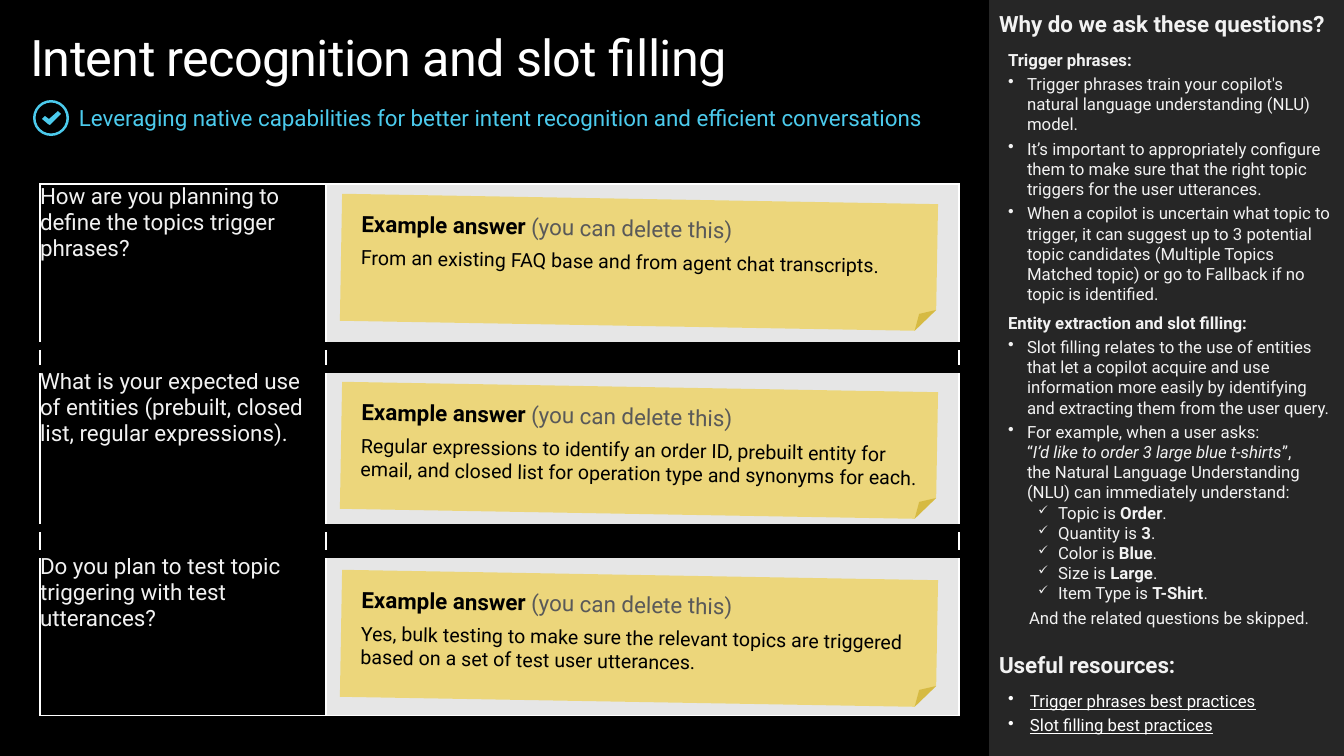
from lxml import etree
from pptx import Presentation
from pptx.dml.color import RGBColor
from pptx.enum.shapes import MSO_SHAPE as Preset
from pptx.enum.text import MSO_ANCHOR as Anchor, PP_ALIGN as Align
from pptx.oxml.ns import qn
from pptx.util import Pt

PX = 9071
COLORS = {
    "black": "000000", "white": "FFFFFF", "panel": "262626", "cyan": "4CCBED",
    "light": "F2F2F2", "answer": "E6E6E6", "note": "F2C811", "hint": "595959",
}


def write(frame, text, size=12, color="light", bold=False, italic=False, underline=False,
          before=0, after=0, left=0, hang=0, bullet=None, bullet_size=100,
          spacing=0, join=False):
    line = frame.paragraphs[-1]
    if not join:
        if line.runs:
            line = frame.add_paragraph()
        line.alignment = Align.LEFT
        line.space_before, line.space_after = Pt(before), Pt(after)
        layout = line._p.get_or_add_pPr()
        layout.set("marL", str(left * PX))
        layout.set("indent", str(-hang * PX))
        if bullet:
            etree.SubElement(layout, qn("a:buSzPct")).set("val", str(bullet_size * 1000))
            etree.SubElement(layout, qn("a:buChar")).set("char", bullet)
    for number, part in enumerate(text.split("\n")):
        if number:
            line.add_line_break()
        if part:
            run = line.add_run()
            run.text = part
            font = run.font
            font.name, font.size = "Roboto", Pt(size)
            font.bold, font.italic, font.underline = bold, italic, underline
            font.color.rgb = RGBColor.from_string(COLORS[color])
            if spacing:
                run._r.get_or_add_rPr().set("spc", str(spacing))


def paint(shape, color):
    shape.shadow.inherit = False
    shape.fill.solid()
    shape.fill.fore_color.rgb = RGBColor.from_string(COLORS[color])
    shape.line.fill.background()


deck = Presentation()
deck.slide_width, deck.slide_height = 1344 * PX, 756 * PX
slide = deck.slides.add_slide(deck.slide_layouts[6])
slide.background.fill.solid()
slide.background.fill.fore_color.rgb = RGBColor.from_string(COLORS["black"])
shapes = slide.shapes

panel = shapes.add_shape(Preset.RECTANGLE, 989 * PX, 0, 355 * PX, 756 * PX)
paint(panel, "panel")

ring = shapes.add_shape(Preset.DONUT, 33 * PX, 100 * PX, 36 * PX, 36 * PX)
ring.adjustments[0] = 0.07
paint(ring, "cyan")
tick_outline = shapes.build_freeform(58, 111, scale=PX)
tick_outline.add_line_segments(
    [(49, 119), (45, 116), (42, 119), (48, 124), (50, 125), (52, 123), (61, 114)])
paint(tick_outline.convert_to_shape(), "cyan")

frames = []
for x, y, width, height, inset, anchor in [
    (30, 26, 928, 61, 0, Anchor.TOP),
    (79, 104, 880, 27, 0, Anchor.MIDDLE),
    (989, 0, 355, 733, 10, Anchor.TOP),
]:
    frame = shapes.add_textbox(x * PX, y * PX, width * PX, height * PX).text_frame
    frame.word_wrap = True
    frame.vertical_anchor = anchor
    frame.margin_left = frame.margin_right = inset * PX
    frame.margin_top = frame.margin_bottom = inset * PX
    frames.append(frame)
title, subtitle, guide = frames

write(title, "Intent recognition and slot filling", size=36, color="white", spacing=-50)
write(subtitle, "Leveraging native capabilities for better intent recognition "
      "and efficient conversations", size=16, color="cyan")

point = dict(before=3, left=28, hang=19, bullet="•")
write(guide, "Why do we ask these questions?", size=16, bold=True, after=6)
write(guide, "Trigger phrases:", bold=True, before=3, left=9)
for advice in [
    "Trigger phrases train your copilot's natural language understanding (NLU) model.",
    "It’s important to appropriately configure them to make sure that the right topic "
    "triggers for the user utterances.",
    "When a copilot is uncertain what topic to trigger, it can suggest up to 3 potential "
    "topic candidates (Multiple Topics Matched topic) or go to Fallback if no topic is "
    "identified.",
]:
    write(guide, advice, **point)
write(guide, "Entity extraction and slot filling:", bold=True, before=6, left=9)
write(guide, "Slot filling relates to the use of entities that let a copilot acquire and use "
      "information more easily by identifying and extracting them from the user query.", **point)
write(guide, "For example, when a user asks:\n“", **point)
write(guide, "I’d like to order 3 large blue t-shirts", italic=True, join=True)
write(guide, "”,\nthe Natural Language Understanding (NLU) can immediately understand:", join=True)
for slot, value in [("Topic", "Order"), ("Quantity", "3"), ("Color", "Blue"),
                    ("Size", "Large"), ("Item Type", "T-Shirt")]:
    write(guide, f"{slot} is ", left=59, hang=20, bullet="✓", bullet_size=75)
    write(guide, value, bold=True, join=True)
    write(guide, ".", join=True)
write(guide, "And the related questions be skipped.", before=3, left=30)
write(guide, "Useful resources:", size=16, bold=True, before=17, after=6)
for resource in ["Trigger phrases best practices", "Slot filling best practices"]:
    write(guide, resource, color="white", underline=True,
          before=3, left=31, hang=22, bullet="•")

topics = [
    ("How are you planning to define the topics trigger phrases?",
     "From an existing FAQ base and from agent chat transcripts."),
    ("What is your expected use of entities (prebuilt, closed list, regular expressions).",
     "Regular expressions to identify an order ID, prebuilt entity for email, and closed list "
     "for operation type and synonyms for each."),
    ("Do you plan to test topic triggering with test utterances?",
     "Yes, bulk testing to make sure the relevant topics are triggered based on a set of "
     "test user utterances."),
]

table_frame = shapes.add_table(5, 2, 40 * PX, 184 * PX, 919 * PX, 532 * PX)
table = table_frame.table
table.first_row = table.horz_banding = False
for column, width in zip(table.columns, (286, 633)):
    column.width = width * PX
for index, (row, height) in enumerate(zip(table.rows, (162, 23, 159, 26, 162))):
    row.height = height * PX
    is_gap = index % 2 == 1
    for side, cell in enumerate(row.cells):
        cell.margin_left = cell.margin_top = cell.margin_bottom = 0
        cell.margin_right = 10 * PX
        cell.fill.solid()
        shade = "answer" if side and not is_gap else "black"
        cell.fill.fore_color.rgb = RGBColor.from_string(COLORS[shade])
        if is_gap:
            cell.text_frame.paragraphs[0].font.size = Pt(6)
            continue
        if not side:
            write(cell.text_frame, topics[index // 2][0], size=16)
        border = etree.Element(qn("a:lnT" if index else "a:lnB"), w=str(Pt(6)))
        border_fill = etree.SubElement(border, qn("a:solidFill"))
        etree.SubElement(border_fill, qn("a:srgbClr")).set("val", COLORS["black"])
        cell._tc.get_or_add_tcPr().insert(0, border)

for index, (question, answer) in enumerate(topics):
    note = shapes.add_shape(Preset.FOLDED_CORNER, 341 * PX, (199 + 188 * index) * PX,
                            596 * PX, 127 * PX)
    note.rotation = 1
    paint(note, "note")
    note_color = note._element.spPr.find(qn("a:solidFill"))[0]
    etree.SubElement(note_color, qn("a:alpha")).set("val", "50000")
    frame = note.text_frame
    frame.word_wrap = True
    frame.vertical_anchor = Anchor.TOP
    frame.margin_left = frame.margin_right = 20 * PX
    frame.margin_top = frame.margin_bottom = 16 * PX
    write(frame, "Example answer ", size=16, color="black", bold=True, after=6)
    write(frame, "(you can delete this)", size=16, color="hint", join=True)
    write(frame, answer, size=14, color="black", after=6)

deck.save("out.pptx")
